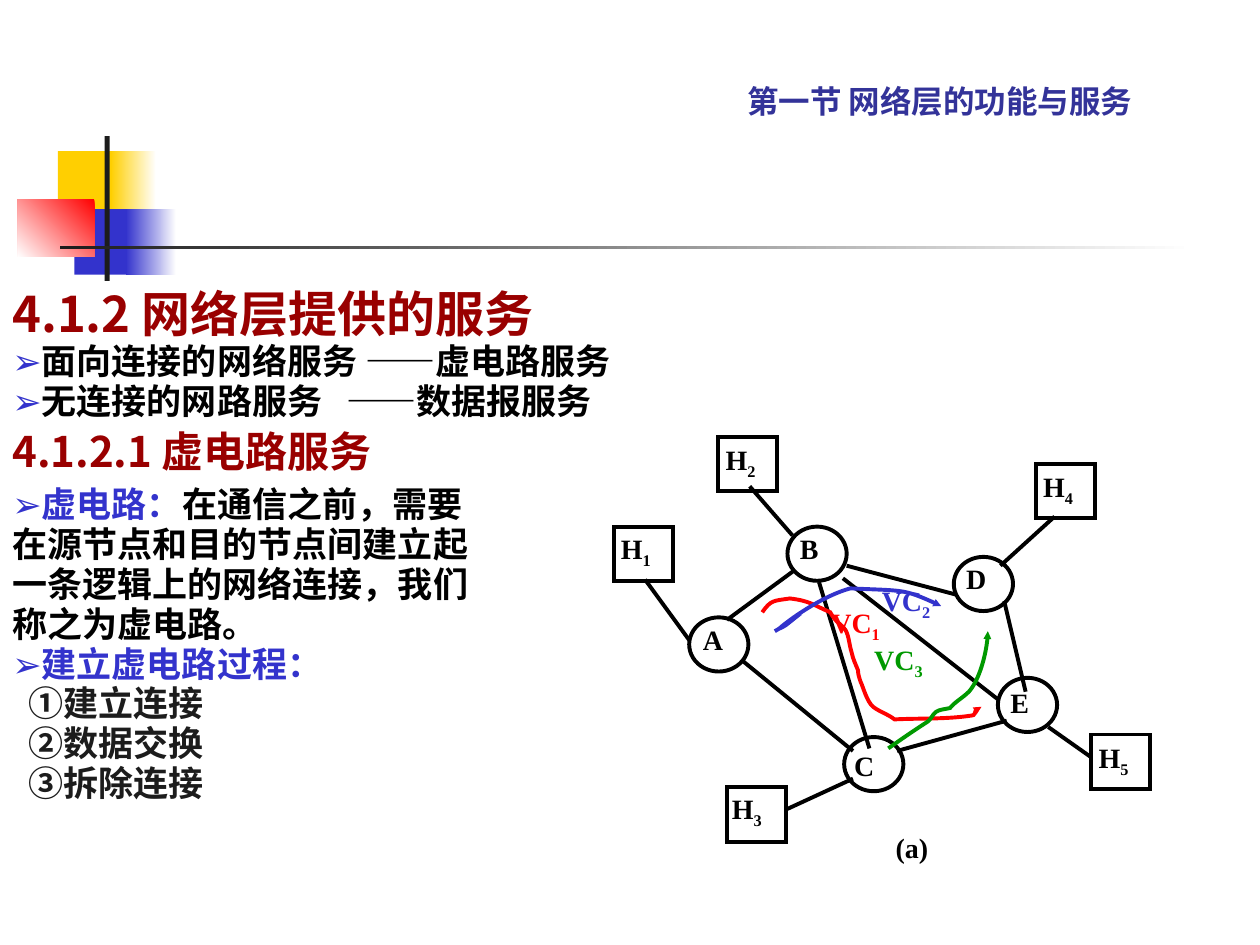
from dataclasses import dataclass

from lxml import etree
from pptx import Presentation
from pptx.dml.color import RGBColor
from pptx.enum import shapes as kinds, text as txt
from pptx.oxml import ns
from pptx.util import Inches, Pt


@dataclass(frozen=True)
class Theme:
    cjk: str = "Noto Sans CJK SC"
    sans: str = "Arial"
    serif: str = "Times New Roman"
    navy: str = "333399"
    blue: str = "3333CC"
    maroon: str = "990000"
    ink: str = "1C1C1C"
    black: str = "000000"
    white: str = "FFFFFF"
    red: str = "FF0000"
    green: str = "009900"
    gold: str = "FFCF01"
    head: int = 28
    sub: int = 24
    body: int = 20
    title: int = 18
    label: int = 16
    line: float = 2.25


class Board:
    def __init__(self, slide, theme):
        self.slide, self.theme = slide, theme
        self.items = slide.shapes

    def group(self):
        """Send all later elements into a new group."""
        self.items = self.slide.shapes.add_group_shape().shapes

    def run(self, para, words, size, face, color, base=0):
        run = para.add_run()
        run.text = words
        font = run.font
        font.size, font.name, font.bold = Pt(size), face, True
        font.color.rgb = RGBColor.from_string(color)
        props = run._r.get_or_add_rPr()
        etree.SubElement(props, ns.qn("a:ea")).set("typeface", face)
        if base:
            props.set("baseline", str(base * 1000))

    def title(self, words, *box):
        shape = self.slide.shapes.title
        shape.left, shape.top, shape.width, shape.height = map(Inches, box)
        frame = shape.text_frame
        frame.auto_size = txt.MSO_AUTO_SIZE.NONE
        frame.vertical_anchor = txt.MSO_ANCHOR.BOTTOM
        para = frame.paragraphs[0]
        para.alignment = txt.PP_ALIGN.LEFT
        self.run(para, words, self.theme.title, self.theme.cjk, self.theme.navy)

    def frame(self, *box):
        frame = self.items.add_textbox(*map(Inches, box)).text_frame
        frame.word_wrap = True
        return frame

    def label(self, words, x, y, color=None, w=1.05, h=0.72):
        """Write a label whose trailing digit, if any, is a subscript."""
        look = self.theme.label, self.theme.serif, color or self.theme.black
        para = self.frame(x, y, w, h).paragraphs[0]
        para.alignment = txt.PP_ALIGN.JUSTIFY
        stem = words.rstrip("0123456789")
        self.run(para, stem, *look)
        if stem != words:
            self.run(para, words[len(stem):], *look, base=-25)

    def block(self, x, y, w, h, color, fade=None, angle=0):
        shape = self.items.add_shape(
            kinds.MSO_SHAPE.RECTANGLE, *map(Inches, (x, y, w, h)))
        shape.shadow.inherit = False
        shape.line.fill.background()
        if fade:
            shape.fill.gradient()
            shape.fill.gradient_angle = angle
            for stop, tone in zip(shape.fill.gradient_stops, (color, fade)):
                stop.color.rgb = RGBColor.from_string(tone)
        else:
            shape.fill.solid()
            shape.fill.fore_color.rgb = RGBColor.from_string(color)

    def stroke(self, shape, color):
        shape.line.color.rgb = RGBColor.from_string(color)
        shape.line.width = Pt(self.theme.line)
        edge = shape._element.spPr.find(ns.qn("a:ln"))
        etree.SubElement(edge, ns.qn("a:miter"), lim="800000")
        return edge

    def node(self, kind, words, x, y, dx, dy):
        shape = self.items.add_shape(kind, *map(Inches, (x, y, 0.47, 0.43)))
        shape.shadow.inherit = False
        shape.fill.background()
        self.stroke(shape, self.theme.black)
        self.label(words, x + dx, y + dy)

    def edge(self, *ends):
        line = self.items.add_connector(
            kinds.MSO_CONNECTOR.STRAIGHT, *map(Inches, ends))
        self.stroke(line, self.theme.black)
        etree.SubElement(line._element.spPr, ns.qn("a:effectLst"))

    def curve(self, color, start, parts):
        """Draw cubic curves; each part is two controls and an end."""
        dots = [tuple(map(Inches, dot)) for part in parts for dot in part]
        pen = self.items.build_freeform(*map(Inches, start))
        pen.add_line_segments(dots, close=False)
        shape = pen.convert_to_shape()
        shape.shadow.inherit = False
        shape.fill.background()
        legs = list(shape._element.iter(ns.qn("a:lnTo")))
        for at in range(0, len(legs), 3):
            bend = etree.Element(ns.qn("a:cubicBezTo"))
            legs[at].addprevious(bend)
            for leg in legs[at:at + 3]:
                bend.append(leg[0])
                leg.getparent().remove(leg)
        edge = self.stroke(shape, color)
        etree.SubElement(
            edge, ns.qn("a:tailEnd"), type="triangle", w="sm", len="sm")


def decor(board):
    t = board.theme
    board.block(0.46, 1.2, 0.48, 0.52, t.gold)
    board.block(0.88, 1.2, 0.36, 0.52, t.white, t.gold, 180)
    board.block(0.59, 1.66, 0.46, 0.52, t.blue)
    board.block(1, 1.66, 0.4, 0.52, t.white, t.blue, 180)
    board.block(0.14, 1.58, 0.61, 0.46, t.red, t.white, 225)
    board.block(0.83, 1.08, 0.04, 1.15, t.ink)
    board.block(0.48, 1.95, 9, 0.03, t.white, t.ink, 180)


def notes(board):
    t = board.theme
    mark = ("➢", t.body, t.sans, t.blue)

    def plain(words, color=t.black):
        return words, t.body, t.cjk, color

    def step(sign, words):
        return [(sign, t.body, t.sans, t.ink), plain(words, t.ink)]

    lines = [
        [("4.1.2 网络层提供的服务", t.head, t.cjk, t.maroon)],
        [mark, plain("面向连接的网络服务 ——虚电路服务")],
        [mark, plain("无连接的网路服务\t——数据报服务")],
        [("4.1.2.1 虚电路服务", t.sub, t.cjk, t.maroon)],
        [mark, plain("虚电路：", t.blue), plain("在通信之前，需要")],
        [plain("在源节点和目的节点间建立起")],
        [plain("一条逻辑上的网络连接，我们")],
        [plain("称之为虚电路。")],
        [mark, plain("建立虚电路过程：", t.blue)],
        step("①", "建立连接"),
        step("②", "数据交换"),
        step("③", "拆除连接"),
    ]
    frame = board.frame(0, 2.25, 9.33, 4.33)
    for row, runs in enumerate(lines):
        para = frame.add_paragraph() if row else frame.paragraphs[0]
        para.line_spacing = 0.9
        lead = runs[0][1] == t.sub
        para.space_before = Pt(5 if lead else 1.2 if row else 0)
        para.space_after = Pt(5 if lead else 0)
        props = para._p.get_or_add_pPr()
        if runs[0][3] == t.ink:
            props.set("marL", str(Inches(0.13)))
        if any("\t" in run[0] for run in runs):
            tabs = etree.SubElement(props, ns.qn("a:tabLst"))
            etree.SubElement(tabs, ns.qn("a:tab"), pos=str(Inches(2.65)), algn="l")
        for run in runs:
            board.run(para, *run)


def network(board):
    t = board.theme
    board.group()
    for name, x, y, dx, dy in [
            ("A", 5.47, 4.9, 0.01, -0.01), ("B", 6.25, 4.18, 0, -0.01),
            ("C", 6.7, 5.85, -0.02, 0.04), ("D", 7.57, 4.42, 0, -0.01),
            ("E", 7.92, 5.38, 0, 0.01)]:
        board.node(kinds.MSO_SHAPE.OVAL, name, x, y, dx, dy)
    for name, x, y, dx, dy in [
            ("H1", 4.87, 4.18, -0.04, -0.01), ("H2", 5.7, 3.47, -0.04, -0.01),
            ("H3", 5.77, 6.25, -0.06, -0.02), ("H4", 8.22, 3.68, -0.04, 0),
            ("H5", 8.66, 5.83, -0.04, 0)]:
        board.node(kinds.MSO_SHAPE.RECTANGLE, name, x, y, dx, dy)
    for ends in [
            (6.5, 4.62, 6.9, 5.94), (5.9, 5.25, 6.77, 5.96),
            (7.12, 5.96, 7.99, 5.72), (5.77, 4.92, 6.3, 4.53),
            (6.72, 4.49, 7.59, 4.72), (8.14, 5.49, 7.97, 4.77),
            (7.92, 5.55, 6.69, 4.59), (6.29, 4.25, 5.95, 3.86),
            (7.94, 4.49, 8.37, 4.1), (8.32, 5.77, 8.66, 6.01),
            (6.77, 6.18, 6.25, 6.42), (5.47, 5.08, 5.12, 4.6)]:
        board.edge(*ends)
    board.curve(t.red, (6.05, 4.86), [
        ((6.12, 4.76), (6.14, 4.77), (6.27, 4.75)),
        ((6.43, 4.77), (6.45, 4.8), (6.59, 4.86)),
        ((6.6, 4.88), (6.62, 4.91), (6.64, 4.93)),
        ((6.66, 4.95), (6.69, 4.97), (6.71, 5)),
        ((6.74, 5.05), (6.74, 5.12), (6.76, 5.18)),
        ((6.77, 5.23), (6.79, 5.27), (6.81, 5.32)),
        ((6.81, 5.35), (6.82, 5.38), (6.83, 5.41)),
        ((6.85, 5.45), (6.88, 5.57), (6.93, 5.61)),
        ((6.98, 5.65), (7.05, 5.67), (7.1, 5.71)),
        ((7.3, 5.7), (7.51, 5.71), (7.71, 5.68)),
        ((7.74, 5.68), (7.74, 5.63), (7.76, 5.61)),
        ((7.77, 5.61), (7.78, 5.61), (7.79, 5.61))])
    board.curve(t.blue, (6.15, 5.01), [
        ((6.42, 4.85), (6.01, 5.11), (6.3, 4.9)),
        ((6.43, 4.81), (6.6, 4.71), (6.75, 4.67)),
        ((7.17, 4.69), (7.17, 4.67), (7.47, 4.81))])
    board.curve(t.green, (7.05, 5.94), [
        ((7.15, 5.87), (7.25, 5.8), (7.36, 5.73)),
        ((7.39, 5.71), (7.4, 5.67), (7.43, 5.65)),
        ((7.46, 5.63), (7.5, 5.63), (7.54, 5.62)),
        ((7.58, 5.57), (7.64, 5.54), (7.69, 5.49)),
        ((7.77, 5.4), (7.84, 5.15), (7.84, 5.01))])
    board.label("VC1", 6.5, 4.76, t.red, 1.22)
    board.label("VC2", 6.9, 4.58, t.blue, 1.57, 0.96)
    board.label("VC3", 6.84, 5.05, t.green, 1.4)
    board.label("(a)", 7.01, 6.54, w=1.57, h=0.96)


def main():
    deck = Presentation()
    deck.slide_width, deck.slide_height = Inches(10), Inches(7.5)
    board = Board(deck.slides.add_slide(deck.slide_layouts[5]), Theme())
    decor(board)
    board.title("第一节 网络层的功能与服务", 5.83, 0.49, 4.17, 0.51)
    notes(board)
    network(board)
    deck.save("out.pptx")


if __name__ == "__main__":
    main()
